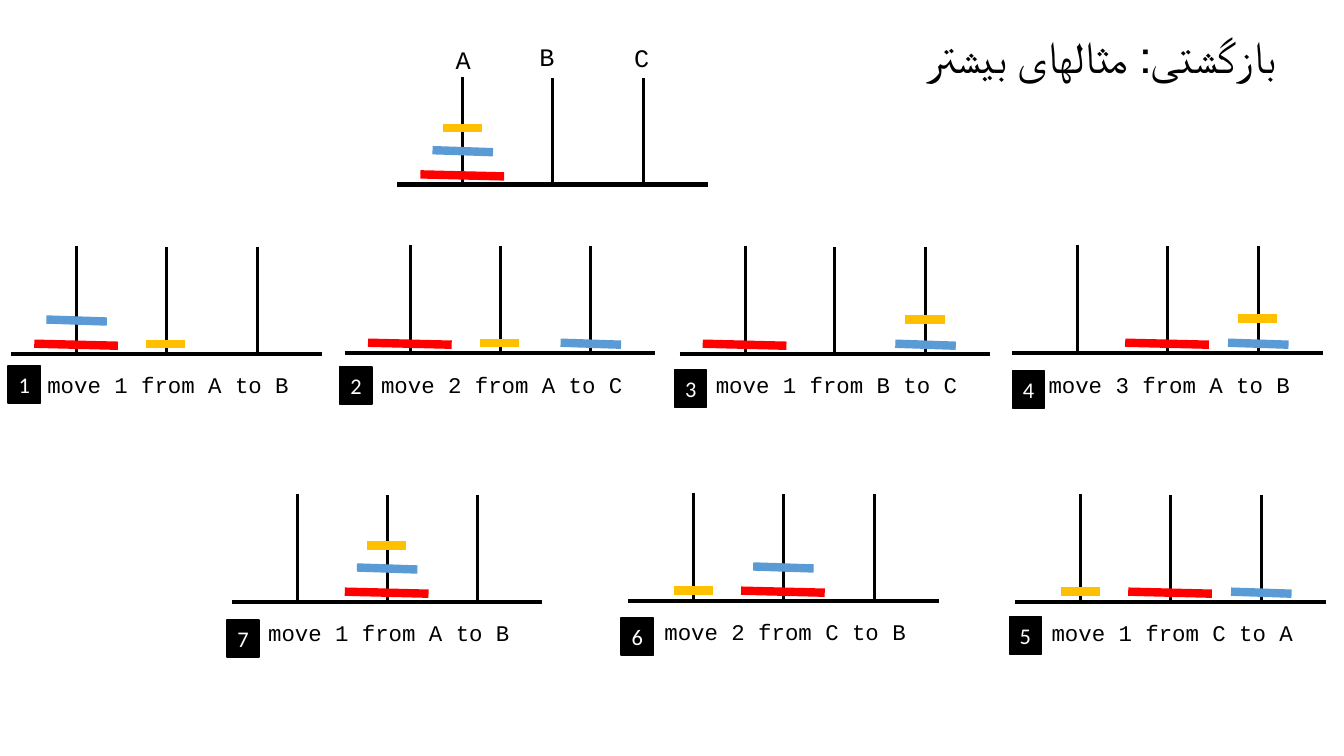
from dataclasses import dataclass

from lxml.etree import SubElement
from pptx import Presentation
from pptx.dml.color import RGBColor
from pptx.enum.shapes import MSO_CONNECTOR as CONN, MSO_SHAPE as SHAPE
from pptx.enum.text import MSO_ANCHOR as ANCHOR, PP_ALIGN as ALIGN
from pptx.oxml.ns import qn
from pptx.util import Pt

PX = 9144  # EMU per px, 100 px to the inch


@dataclass(frozen=True)
class Theme:
    black: str = "000000"
    white: str = "FFFFFF"
    red: str = "FF0000"
    blue: str = "5B9BD5"
    yellow: str = "FFC000"
    sans: str = "Calibri"
    mono: str = "Courier New"
    title: int = 32
    peg_name: int = 18
    body: int = 16
    base_line: float = 3
    peg_line: float = 2.25
    disc_line: float = 6


T = Theme()

prs = Presentation()
prs.slide_width, prs.slide_height = 1333 * PX, 750 * PX
s = prs.slides.add_slide(prs.slide_layouts[6])


def add_line(x1, y1, x2, y2, color, width):
    line = s.shapes.add_connector(CONN.STRAIGHT, x1 * PX, y1 * PX, x2 * PX, y2 * PX)
    line.line.color.rgb = RGBColor.from_string(color)
    line.line.width = Pt(width)
    SubElement(line._element.spPr, qn("a:effectLst"))


def add_text(sp, text, font, size, color, align=ALIGN.LEFT):
    p = sp.text_frame.paragraphs[0]
    p.alignment = align
    r = p.add_run()
    r.text = text
    r.font.name = font
    r.font.size = Pt(size)
    r.font.color.rgb = RGBColor.from_string(color)
    return p


# Title, right to left
sp = s.shapes.add_textbox(870 * PX, 24 * PX, 406 * PX, 64 * PX)
sp.text_frame.word_wrap = True
p = add_text(sp, "بازگشتی: مثالهای بیشتر", T.sans, T.title, T.black, ALIGN.RIGHT)
p._p.get_or_add_pPr().set("rtl", "1")

# Peg names above the starting position
for name, x, y in [("A", 442, 39), ("B", 525, 36), ("C", 619, 37)]:
    sp = s.shapes.add_textbox(x * PX, y * PX, 35 * PX, 40 * PX)
    sp.text_frame.word_wrap = False
    add_text(sp, name, T.mono, T.peg_name, T.black)

# Towers: left end of the base, then the discs on pegs A, B, C from the bottom up
PEGS = [(65, 0), (154, 1), (244, 1)]  # offset from the base's left end, drop
PEG_HEIGHT = 107
BASE_WIDTH = 308
LEVELS = [10, 34, 56]  # height of each disc above the base
DISCS = {  # colour, left reach, right reach, slope
    "R": (T.red, 42, 41, 2),
    "B": (T.blue, 30, 30, 2),
    "Y": (T.yellow, 20, 19, 0),
}
TOWERS = [
    (394, 183, ("RBY", "", "")),
    (11, 351, ("RB", "Y", "")),
    (342, 350, ("R", "Y", "B")),
    (674, 351, ("R", "", "BY")),
    (1004, 350, ("", "R", "BY")),
    (1007, 597, ("Y", "R", "B")),
    (623, 596, ("Y", "RB", "")),
    (230, 597, ("", "RBY", "")),
]
for x, y, stacks in TOWERS:
    add_line(x, y, x + BASE_WIDTH, y, T.black, T.base_line)
    for (dx, drop), stack in zip(PEGS, stacks):
        peg = x + dx
        add_line(peg, y + drop, peg, y + drop - PEG_HEIGHT, T.black, T.peg_line)
        for level, disc in zip(LEVELS, stack):
            color, left, right, slope = DISCS[disc]
            top = y - level
            add_line(peg - left, top, peg + right, top + slope, color, T.disc_line)

# Move captions and numbered badges: disc, from, to, badge left, badge top
MOVES = [
    (1, "A", "B", 8, 363),
    (2, "A", "C", 337, 364),
    (1, "B", "C", 669, 367),
    (3, "A", "B", 1004, 368),
    (1, "C", "A", 1001, 612),
    (2, "C", "B", 616, 613),
    (1, "A", "B", 225, 615),
]
for number, (tower, move) in enumerate(zip(TOWERS[1:], MOVES), 1):
    x, y, _ = tower
    disc, source, target, badge_x, badge_y = move
    caption = f"move {disc} from {source} to {target}"
    labels = [
        (x + 36, y + 14, 254, 34, T.white, caption, T.mono, T.black, ALIGN.LEFT),
        (badge_x, badge_y, 32, 37, T.black, str(number), T.sans, T.white, ALIGN.CENTER),
    ]
    for left, top, w, h, fill, text, font, color, align in labels:
        sp = s.shapes.add_shape(SHAPE.RECTANGLE, left * PX, top * PX, w * PX, h * PX)
        sp.shadow.inherit = False
        sp.fill.solid()
        sp.fill.fore_color.rgb = RGBColor.from_string(fill)
        sp.line.color.rgb = RGBColor.from_string(fill)
        sp.line.width = Pt(1)
        tf = sp.text_frame
        tf.word_wrap = False
        tf.vertical_anchor = ANCHOR.MIDDLE
        tf.margin_left = tf.margin_right = tf.margin_top = tf.margin_bottom = 0
        add_text(sp, text, font, T.body, color, align)

prs.save("out.pptx")
